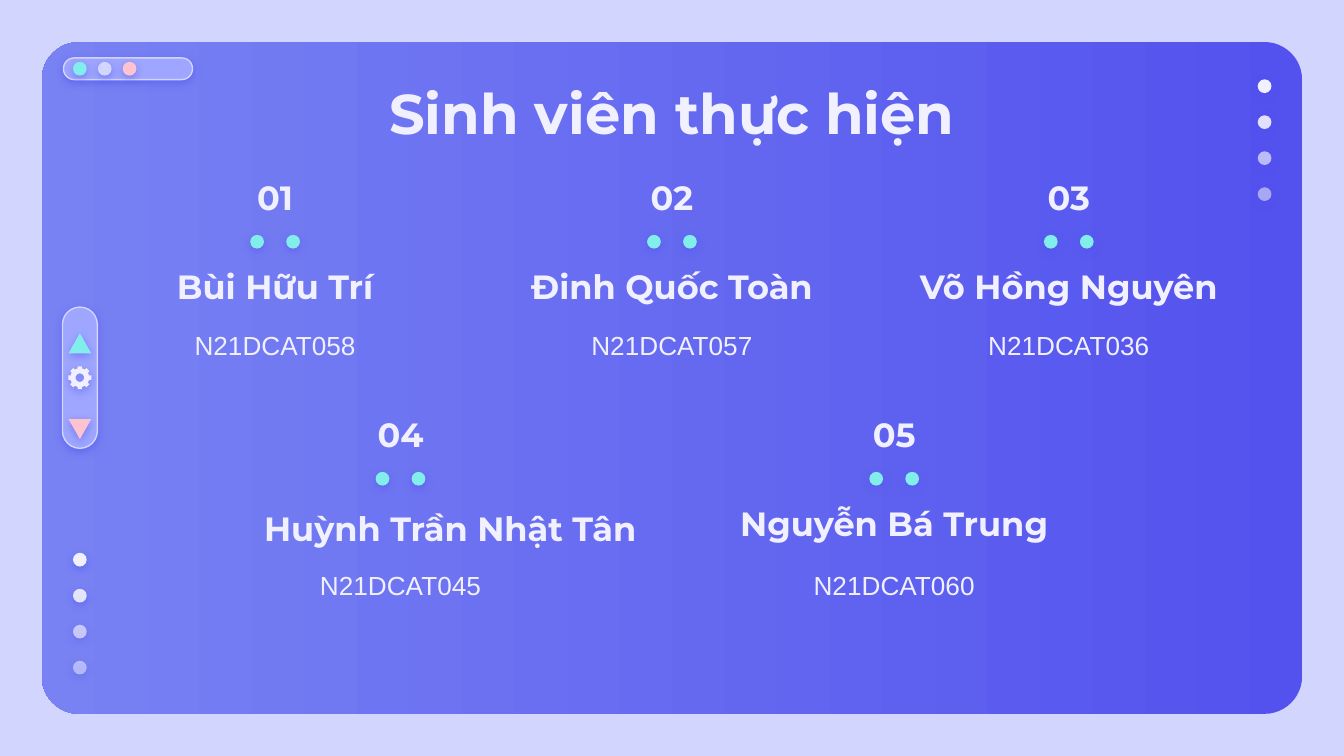
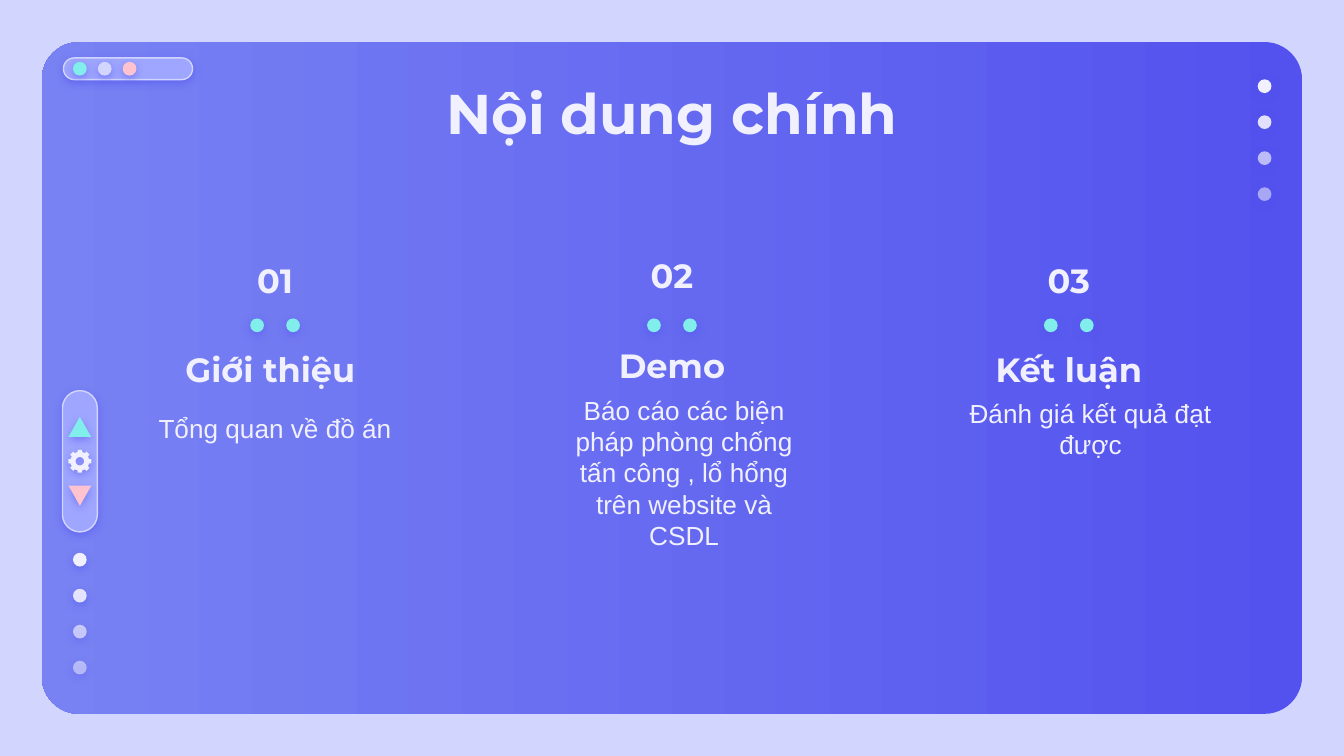
"""Build the student list and main contents slides of a project deck."""
from dataclasses import dataclass
from math import cos, radians, sin

from lxml import etree
from pptx import Presentation, util as u
from pptx.dml.color import RGBColor
from pptx.enum import shapes, text
from pptx.oxml.ns import qn

COLORS = {
    "pale": "D2D6FF",
    "indigo": "5352EE",
    "periwinkle": "7882F3",
    "lavender": "9EA6FF",
    "mint": "81EEEB",
    "pink": "FFC3D0",
    "white": "F1F0FF",
}
HEADING_FONT, DETAIL_FONT = "Montserrat", "Arial"
SLIDE_WIDTH, SLIDE_HEIGHT = 25.4, 14.29
COLUMNS = [5.2, 12.7, 20.2]
DOT_SIZE, DOT_PITCH = 0.26, 0.68
RAIL_X = 1.51
FADES = [100, 90, 67, 54]
PRESET = shapes.MSO_SHAPE


@dataclass
class Card:
    x: float
    y: float
    number: str
    heading: str
    detail: str
    number_shift: float = 0
    heading_x: float = 0
    heading_shift: float = 0
    heading_width: float = 6.4
    heading_height: float = 0.69
    detail_x: float = 0
    detail_shift: float = 0
    detail_width: float = 5.18


def rgb(name):
    return RGBColor.from_string(COLORS[name])


def add_shadow(shape):
    shape.shadow.inherit = False
    effects = shape._element.spPr.find(qn("a:effectLst"))
    shadow = etree.SubElement(effects, qn("a:outerShdw"), blurRad=str(u.Pt(4.5)),
                              dist=str(u.Pt(1.5)), dir="5400000", algn="bl", rotWithShape="0")
    tint = etree.SubElement(shadow, qn("a:srgbClr"), val=COLORS["indigo"])
    etree.SubElement(tint, qn("a:alpha"), val="50000")


def paint(shape, color, opacity=100, outline=None):
    shape.fill.solid()
    shape.fill.fore_color.rgb = rgb(color)
    if opacity < 100:
        tint = shape._element.spPr.find(f"{qn('a:solidFill')}/{qn('a:srgbClr')}")
        etree.SubElement(tint, qn("a:alpha"), val=str(opacity * 1000))
    if outline:
        shape.line.color.rgb = rgb(outline)
        shape.line.width = u.Pt(0.75)
    else:
        shape.line.fill.background()
    add_shadow(shape)


def add_centred(slide, preset, x, y, width, height):
    return slide.shapes.add_shape(preset, u.Cm(x - width / 2), u.Cm(y - height / 2),
                                  u.Cm(width), u.Cm(height))


def add_dot(slide, x, y, color, opacity=100):
    paint(add_centred(slide, PRESET.OVAL, x, y, DOT_SIZE, DOT_SIZE), color, opacity)


def add_pill(slide, x, y, length, thickness, rotation=0):
    pill = add_centred(slide, PRESET.ROUNDED_RECTANGLE, x, y, length, thickness)
    pill.adjustments[0] = 0.5
    pill.rotation = rotation
    paint(pill, "lavender", outline="pale")


def add_arrow(slide, y, color, rotation=0):
    arrow = add_centred(slide, PRESET.ISOSCELES_TRIANGLE, RAIL_X, y, 0.43, 0.38)
    arrow.rotation = rotation
    paint(arrow, color)


def add_gear(slide, x, y):
    def point(angle, radius):
        return (u.Cm(x + radius * cos(radians(angle))), u.Cm(y + radius * sin(radians(angle))))

    tooth = [(-13, 0.18), (-11, 0.22), (11, 0.22), (13, 0.18)]
    rim = [point(turn + angle, radius) for turn in range(0, 360, 45) for angle, radius in tooth]
    hole = [point(-angle, 0.08) for angle in range(0, 360, 15)]
    builder = slide.shapes.build_freeform(*rim[0])
    builder.add_line_segments(rim[1:])
    builder.move_to(*hole[0])
    builder.add_line_segments(hole[1:])
    paint(builder.convert_to_shape(), "white")


def add_toolbar(slide, y, down_offset):
    add_pill(slide, RAIL_X, y, 2.67, 0.66, rotation=90)
    add_arrow(slide, y - 0.65, "mint")
    add_arrow(slide, y + down_offset, "pink", rotation=180)
    add_gear(slide, RAIL_X, y)


def write(frame, words, size, font, bold, anchor):
    frame.word_wrap = True
    frame.auto_size = text.MSO_AUTO_SIZE.NONE
    frame.vertical_anchor = anchor
    frame.margin_left = frame.margin_right = u.Cm(0.25)
    frame.margin_top = frame.margin_bottom = u.Cm(0.25)
    paragraph = frame.paragraphs[0]
    paragraph.text = words
    paragraph.alignment = text.PP_ALIGN.CENTER
    paragraph.font.size = u.Pt(size)
    paragraph.font.name = font
    paragraph.font.bold = bold
    paragraph.font.color.rgb = rgb("white")


def add_label(slide, words, x, y, width, height, size=18, font=HEADING_FONT, bold=True):
    label = slide.shapes.add_textbox(u.Cm(x - width / 2), u.Cm(y - height / 2),
                                     u.Cm(width), u.Cm(height))
    write(label.text_frame, words, size, font, bold, text.MSO_ANCHOR.MIDDLE)


def add_card(slide, card):
    add_label(slide, card.number, card.x, card.y + card.number_shift, 2.44, 0.69)
    for side in (-1, 1):
        add_dot(slide, card.x + side * DOT_PITCH / 2, card.y + 0.85, "mint")
    add_label(slide, card.heading, card.x + card.heading_x, card.y + 1.68 + card.heading_shift,
              card.heading_width, card.heading_height)
    add_label(slide, card.detail, card.x + card.detail_x, card.y + 2.8 + card.detail_shift,
              card.detail_width, 1.35, size=14, font=DETAIL_FONT, bold=False)


def add_frame(slide):
    panel = add_centred(slide, PRESET.ROUNDED_RECTANGLE, SLIDE_WIDTH / 2, SLIDE_HEIGHT / 2,
                        23.82, 12.7)
    panel.adjustments[0] = 0.056
    panel.shadow.inherit = False
    panel.line.fill.background()
    panel.fill.gradient()
    panel.fill.gradient_angle = 180
    for stop, color in zip(panel.fill.gradient_stops, ("indigo", "periwinkle")):
        stop.color.rgb = rgb(color)
    add_pill(slide, 2.42, 1.3, 2.44, 0.41)
    for step, color in enumerate(("mint", "pale", "pink")):
        add_dot(slide, RAIL_X + step * 0.47, 1.3, color)
    for x, top in ((23.9, 1.63), (RAIL_X, 10.58)):
        for step, opacity in enumerate(FADES):
            add_dot(slide, x, top + step * DOT_PITCH, "white", opacity)


def prepare_layout(slide):
    layout = slide.slide_layout
    layout.background.fill.solid()
    layout.background.fill.fore_color.rgb = rgb("pale")
    add_frame(slide)
    for shape in list(slide.shapes):
        if not shape.is_placeholder:
            layout.shapes._spTree.append(shape._element)


def set_title(slide, words):
    title = slide.shapes.title
    title.left, title.top, title.width, title.height = map(u.Cm, (2, 1.24, 21.4, 1.6))
    write(title.text_frame, words, 30, HEADING_FONT, True, text.MSO_ANCHOR.TOP)


def fill_slide(slide, title, cards, toolbar_y, down_offset):
    set_title(slide, title)
    for card in cards:
        add_card(slide, card)
    add_toolbar(slide, toolbar_y, down_offset)


def main():
    deck = Presentation()
    deck.slide_width, deck.slide_height = u.Cm(SLIDE_WIDTH), u.Cm(SLIDE_HEIGHT)
    layout = deck.slide_layouts[5]
    students, contents = [deck.slides.add_slide(layout) for _ in range(2)]
    prepare_layout(students)

    left, middle, right = COLUMNS
    first_row, second_row, contents_row = 3.72, 8.2, 5.3
    fill_slide(students, "Sinh viên thực hiện", [
        Card(left, first_row, "01", "Bùi Hữu Trí", "N21DCAT058"),
        Card(middle, first_row, "02", "Đinh Quốc Toàn", "N21DCAT057"),
        Card(right, first_row, "03", "Võ Hồng Nguyên", "N21DCAT036"),
        Card(7.57, second_row, "04", "Huỳnh Trần Nhật Tân", "N21DCAT045", heading_x=0.94,
             heading_shift=0.1, heading_width=8.28, heading_height=0.51, detail_shift=0.05),
        Card(16.9, second_row, "05", "Nguyễn Bá Trung", "N21DCAT060", detail_shift=0.05),
    ], toolbar_y=7.14, down_offset=0.97)
    fill_slide(contents, "Nội dung chính", [
        Card(left, contents_row, "01", "Giới thiệu ", "Tổng quan về đồ án"),
        Card(middle, contents_row, "02", "Demo",
             "Báo cáo các biện pháp phòng chống tấn công , lổ hổng trên website và CSDL",
             number_shift=-0.1, heading_shift=-0.08, detail_x=0.23, detail_shift=0.83),
        Card(right, contents_row, "03", "Kết luận", "Đánh giá kết quả đạt được",
             detail_x=0.41, detail_width=5.97),
    ], toolbar_y=8.72, down_offset=0.65)
    deck.save("out.pptx")


if __name__ == "__main__":
    main()
